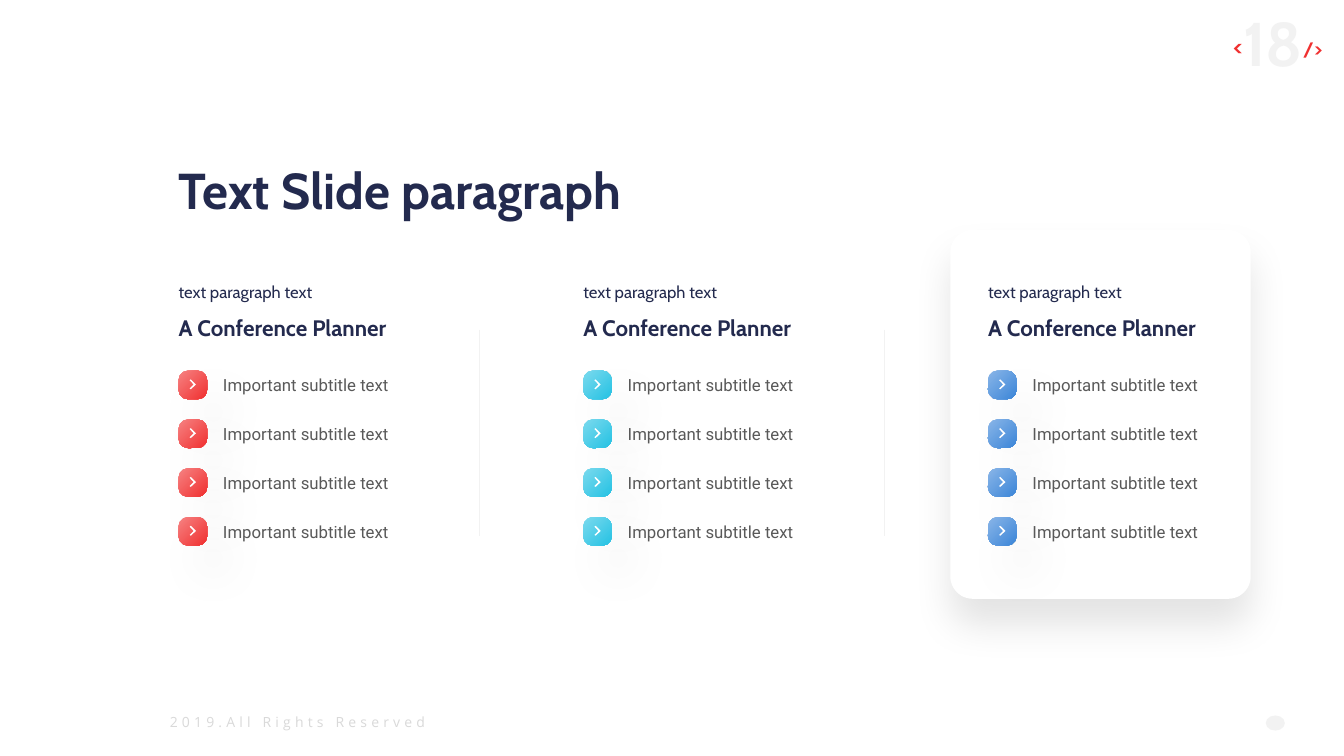
"""Build a three-column bullet slide with the last column on a raised card."""
from lxml.etree import SubElement
from pptx import Presentation
from pptx.dml.color import RGBColor
from pptx.enum.shapes import MSO_CONNECTOR, MSO_SHAPE
from pptx.enum.text import MSO_ANCHOR, MSO_AUTO_SIZE, PP_ALIGN
from pptx.oxml.ns import qn
from pptx.util import Cm, Pt

COLORS = {
    "white": "FFFFFF", "navy": "232A4E", "body": "595959",
    "pale": "F2F2F2", "footer": "D9D9D9",
    "red": "F03030", "red_light": "F68383",
    "cyan": "25C2E3", "cyan_light": "7CDAEE",
    "blue": "3C86D8", "blue_light": "8AB6E8",
}
RGB = {name: RGBColor.from_string(value) for name, value in COLORS.items()}

prs = Presentation()
prs.slide_width, prs.slide_height = Cm(33.87), Cm(19.05)
slide = prs.slides.add_slide(prs.slide_layouts[6])
shapes = slide.shapes


def add_text(x, y, w, h, runs, font="Cabin", bold=False):
    """Add a one-paragraph text box; runs are (text, size, color) tuples."""
    tf = shapes.add_textbox(Cm(x), Cm(y), Cm(w), Cm(h)).text_frame
    tf.word_wrap = True
    tf.auto_size = MSO_AUTO_SIZE.SHAPE_TO_FIT_TEXT
    p = tf.paragraphs[0]
    for text, size, color in runs:
        r = p.add_run()
        r.text = text
        r.font.name = font
        r.font.size = Pt(size)
        r.font.bold = bold
        r.font.color.rgb = RGB[color]
    return tf


def style(s, color=None, shadow=None):
    """Set a plain fill and a shadow of (alpha %, blur pt, distance pt, angle)."""
    s.line.fill.background()
    s.shadow.inherit = False
    if color:
        s.fill.solid()
        s.fill.fore_color.rgb = RGB[color]
    if shadow:
        alpha, blur, dist, angle = shadow
        effects = s._element.spPr.find(qn("a:effectLst"))
        outer = SubElement(effects, qn("a:outerShdw"), blurRad=str(Pt(blur)),
                           dist=str(Pt(dist)), dir=str(angle * 60000),
                           algn="ctr", rotWithShape="0")
        clr = SubElement(outer, qn("a:srgbClr"), val="000000")
        SubElement(clr, qn("a:alpha"), val=str(alpha * 1000))


tf = add_text(27.1, 0, 6.48, 2.13,
              [("<", 28, "red"), ("18", 44, "pale"), ("/>", 24, "red")], bold=True)
tf.vertical_anchor = MSO_ANCHOR.MIDDLE
p = tf.paragraphs[0]
p.alignment = PP_ALIGN.RIGHT
for r in (p.runs[0], p.runs[2]):
    r._r.get_or_add_rPr().set("baseline", "30000")

tf = add_text(4.03, 17.86, 8, 0.69,
              [("2019.All Rights Reserved", 10, "footer")], "Open Sans")
tf.paragraphs[0].runs[0]._r.get_or_add_rPr().set("spc", "300")

s = shapes.add_shape(MSO_SHAPE.OVAL, Cm(31.9), Cm(18.03), Cm(0.48), Cm(0.38))
style(s, "pale")

card = shapes.add_shape(MSO_SHAPE.ROUNDED_RECTANGLE,
                        Cm(23.95), Cm(5.79), Cm(7.57), Cm(9.3))
card.adjustments[0] = 0.075
style(card, "white", (11, 28, 18, 90))

add_text(4.24, 3.89, 16.38, 1.8, [("Text Slide paragraph", 36, "navy")], bold=True)

LEFT, COLUMN_STEP = 4.5, 10.2
TOP, ROW_STEP = 9.34, 1.23
BADGE = 0.72
CHEVRON = [(0.28, 0.24), (0.38, 0.35), (0.28, 0.45),
           (0.31, 0.47), (0.44, 0.35), (0.31, 0.22)]

for column, color in enumerate(("red", "cyan", "blue")):
    x = LEFT + column * COLUMN_STEP
    add_text(x - 0.25, 6.98, 6.73, 0.76, [("text paragraph text", 12, "navy")])
    tf = add_text(x - 0.25, 7.65, 6.83, 0.99,
                  [("A Conference Planner", 16, "navy")], bold=True)
    tf.paragraphs[0].line_spacing = 1.2

    for row in range(4):
        y = TOP + row * ROW_STEP
        badge = shapes.add_shape(MSO_SHAPE.ROUNDED_RECTANGLE,
                                 Cm(x), Cm(y), Cm(BADGE), Cm(BADGE))
        badge.adjustments[0] = 0.33
        badge.fill.gradient()
        badge.fill.gradient_angle = 315
        for stop, name in zip(badge.fill.gradient_stops, (color + "_light", color)):
            stop.color.rgb = RGB[name]
        style(badge, shadow=(6, 33, 24, 53))

        points = [(Cm(x + dx), Cm(y + dy)) for dx, dy in CHEVRON]
        builder = shapes.build_freeform(*points[0])
        builder.add_line_segments(points[1:])
        style(builder.convert_to_shape(), "white")

        add_text(x + 0.87, y - 0.01, 6.73, 0.76,
                 [("Important subtitle text", 12, "body")], "Roboto")

for column in range(2):
    x = Cm(12.09 + column * COLUMN_STEP)
    divider = shapes.add_connector(MSO_CONNECTOR.STRAIGHT, x, Cm(8.31), x, Cm(13.51))
    divider.line.color.rgb = RGB["pale"]
    divider.line.width = Pt(0.5)
    SubElement(divider._element.spPr, qn("a:effectLst"))

prs.save("out.pptx")
